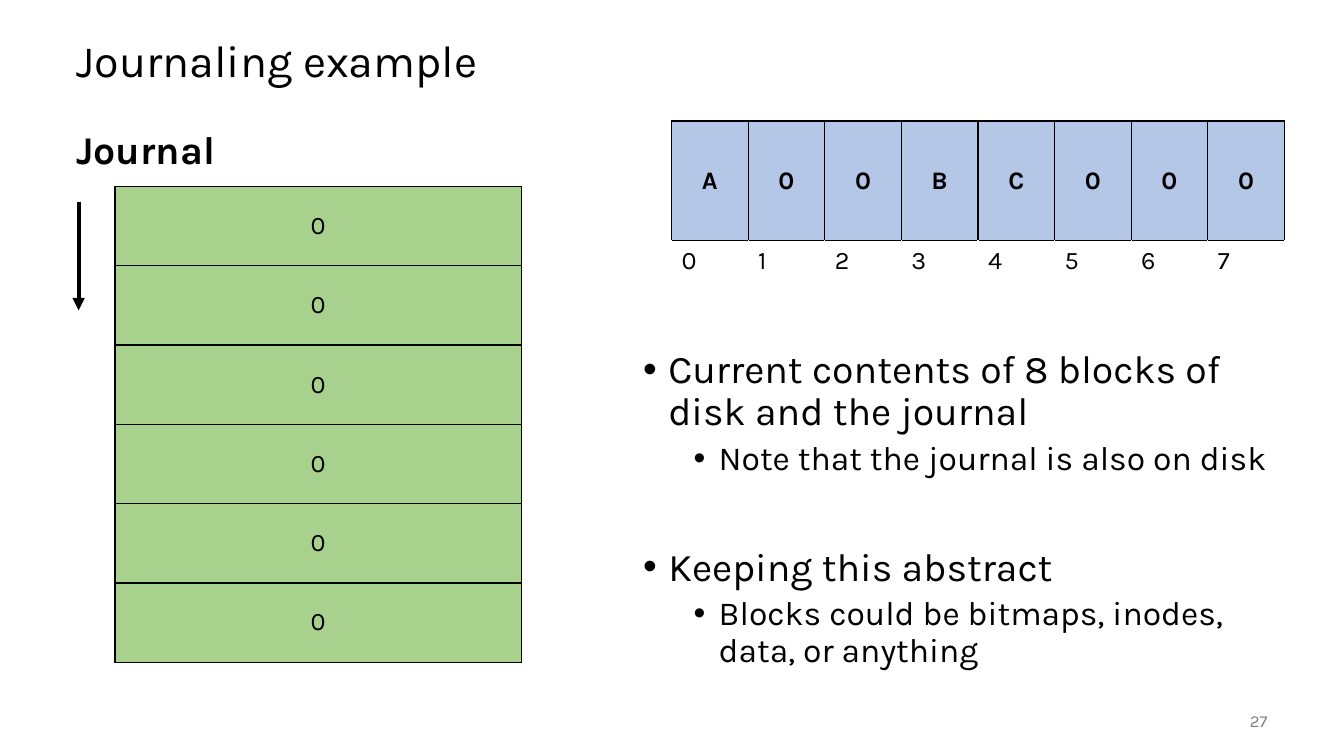
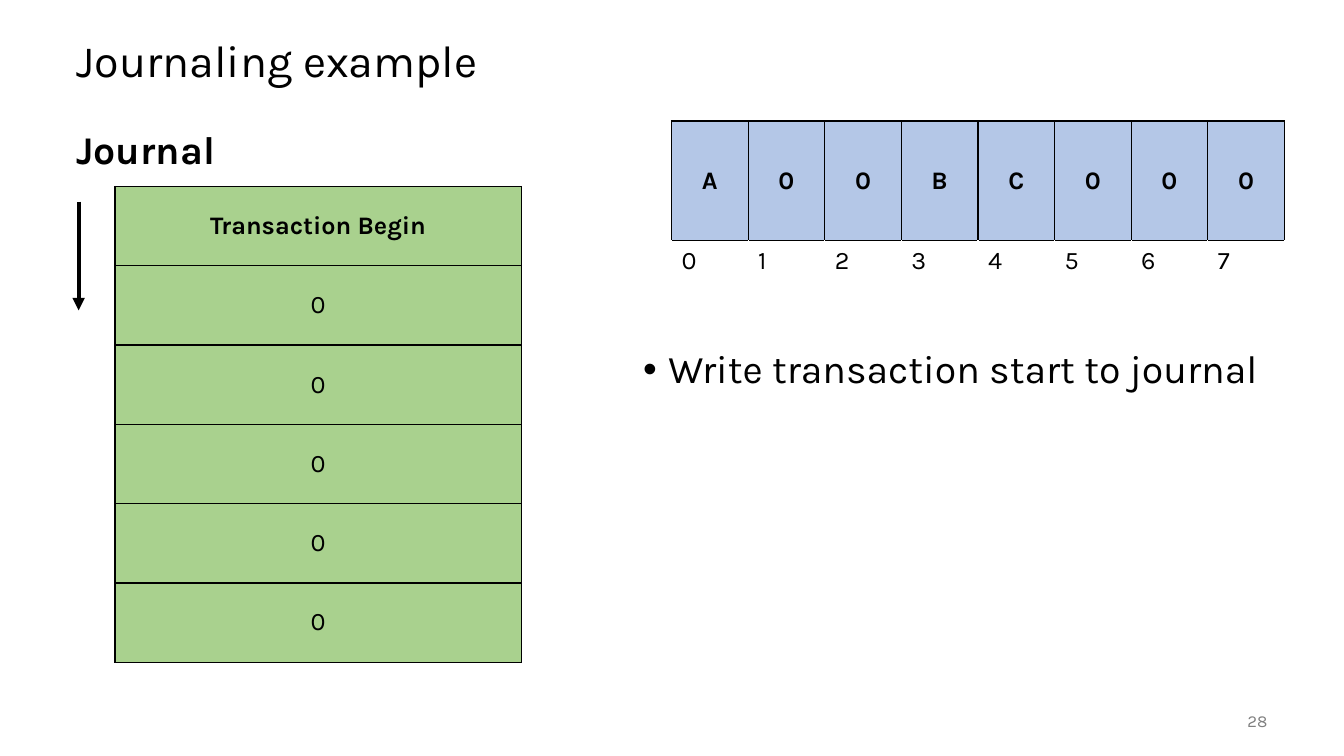
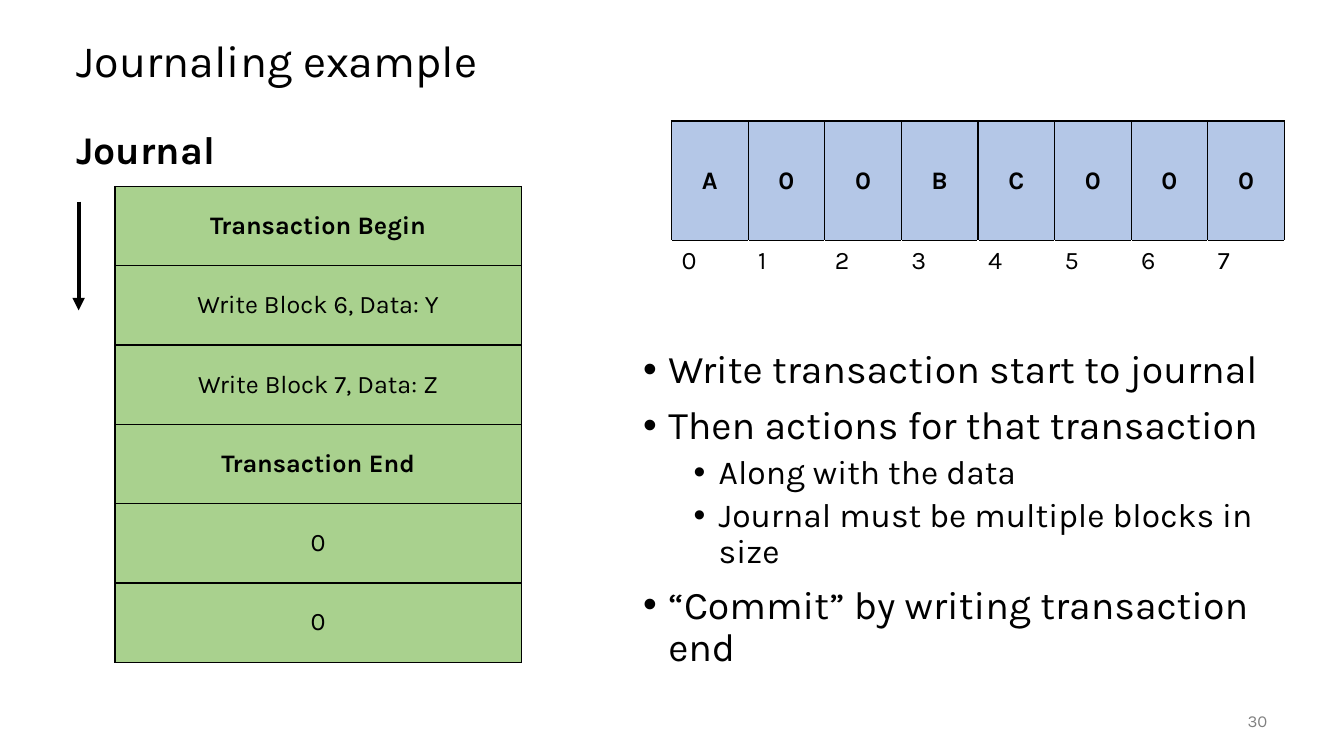
from lxml.etree import SubElement
from pptx import Presentation
from pptx.dml.color import RGBColor
from pptx.enum.shapes import MSO_CONNECTOR
from pptx.enum.text import MSO_ANCHOR, MSO_AUTO_SIZE, PP_ALIGN
from pptx.oxml import parse_xml
from pptx.oxml.ns import nsdecls, qn
from pptx.util import Inches, Pt

HUES = {"ink": "000000", "gray": "808080", "white": "FFFFFF",
        "disk": "B4C7E7", "log": "A9D18E"}
FACE = "Karla"
HEAD = "Journaling example"
DISK = "A00BC000"
START = "Write transaction start to journal"
BEGIN = "Transaction Begin"
END = "Transaction End"
LEVELS = [{"size": 28, "before": 10, "left": 0.25},
          {"size": 24, "before": 5, "left": 0.75}]

PAGES = [
    {"page": 27, "log": ["0"] * 6,
     "points": [
         (0, "Current contents of 8 blocks of disk and the journal"),
         (1, "Note that the journal is also on disk"),
         (0, "Keeping this abstract", 50),
         (1, "Blocks could be bitmaps, inodes, data, or anything")]},
    {"page": 28, "log": [BEGIN] + ["0"] * 5, "points": [(0, START)]},
    {"page": 30,
     "log": [BEGIN, "Write Block 6, Data: Y", "Write Block 7, Data: Z",
             END, "0", "0"],
     "points": [
         (0, START),
         (0, "Then actions for that transaction"),
         (1, "Along with the data"),
         (1, "Journal must be multiple blocks in size"),
         (0, "“Commit” by writing transaction end")]},
]


def tint(name):
    return RGBColor.from_string(HUES[name])


def apply(item, values):
    for key, value in values.items():
        setattr(item, key, value)


class Deck:
    def __init__(self):
        self.show = Presentation()
        apply(self.show, {"slide_width": Inches(13.33),
                          "slide_height": Inches(7.5)})
        self.slide = None

    def put(self, para, text, size, hue="ink", bold=False, **layout):
        apply(para, layout)
        run = para.add_run()
        run.text = text
        apply(run.font, {"name": FACE, "size": Pt(size), "bold": bold})
        run.font.color.rgb = tint(hue)

    def frame(self, shape, anchor):
        apply(shape.text_frame, {"word_wrap": True,
                                 "auto_size": MSO_AUTO_SIZE.NONE,
                                 "vertical_anchor": anchor})
        return shape.text_frame

    def start(self, text):
        self.slide = self.show.slides.add_slide(self.show.slide_layouts[5])
        title = self.slide.shapes.title
        apply(title, {"left": Inches(0.66), "top": Inches(0.25),
                      "width": Inches(12), "height": Inches(0.75)})
        frame = self.frame(title, MSO_ANCHOR.MIDDLE)
        self.put(frame.paragraphs[0], text, 32, line_spacing=0.9,
                 alignment=PP_ALIGN.LEFT)

    def box(self, place, anchor=MSO_ANCHOR.TOP):
        shape = self.slide.shapes.add_textbox(*map(Inches, place))
        return self.frame(shape, anchor)

    def label(self, text, place, size, anchor=MSO_ANCHOR.TOP, **form):
        frame = self.box(place, anchor)
        self.put(frame.paragraphs[0], text, size, **form)

    def bullets(self, points, place):
        frame = self.box(place)
        for i, (level, text, *gap) in enumerate(points):
            para = frame.paragraphs[0] if i == 0 else frame.add_paragraph()
            rule = LEVELS[level]
            props = para._p.get_or_add_pPr()
            props.set("marL", str(Inches(rule["left"])))
            props.set("indent", str(Inches(-0.25)))
            SubElement(props, qn("a:buFont"), typeface="Arial")
            SubElement(props, qn("a:buChar"), char="•")
            before = gap[0] if gap else rule["before"]
            self.put(para, text, rule["size"], level=level,
                     line_spacing=0.9, space_before=Pt(before if i else 0))

    def grid(self, place, rows, cols):
        shape = self.slide.shapes.add_table(
            len(rows), len(cols), *map(Inches, place))
        table = shape.table
        apply(table, {"first_row": False, "horz_banding": False})
        for row, height in zip(table.rows, rows):
            row.height = Inches(height)
        for col, width in zip(table.columns, cols):
            col.width = Inches(width)
        return table

    def cell(self, cell, text, fill=None, bold=False):
        if fill:
            cell.fill.solid()
            cell.fill.fore_color.rgb = tint(fill)
            cell.vertical_anchor = MSO_ANCHOR.MIDDLE
        else:
            cell.fill.background()
        props = cell._tc.get_or_add_tcPr()
        for i, side in enumerate("LRTB"):
            hue = HUES["ink" if fill or side == "T" else "white"]
            props.insert(i, parse_xml(
                f'<a:ln{side} {nsdecls("a")} w="{Pt(1)}"><a:solidFill>'
                f'<a:srgbClr val="{hue}"/></a:solidFill></a:ln{side}>'))
        align = PP_ALIGN.CENTER if fill else PP_ALIGN.LEFT
        self.put(cell.text_frame.paragraphs[0], text, 18, bold=bold,
                 alignment=align)

    def disk(self, blocks):
        table = self.grid((6.66, 1.2, 6.08, 1.72), [1.19, 0.53],
                          [0.76] * len(blocks))
        for i, block in enumerate(blocks):
            self.cell(table.cell(0, i), block, "disk", True)
            self.cell(table.cell(1, i), str(i))

    def log(self, lines):
        table = self.grid((1.14, 1.85, 4.03, 4.72),
                          [4.72 / len(lines)] * len(lines), [4.03])
        for i, line in enumerate(lines):
            self.cell(table.cell(i, 0), line, "log", line in (BEGIN, END))

    def arrow(self, *ends):
        line = self.slide.shapes.add_connector(
            MSO_CONNECTOR.STRAIGHT, *map(Inches, ends))
        line.line.color.rgb = tint("ink")
        line.line.width = Pt(3)
        props = line._element.spPr
        SubElement(props.find(qn("a:ln")), qn("a:tailEnd"), type="triangle")
        SubElement(props, qn("a:effectLst"))


def main():
    deck = Deck()
    for page in PAGES:
        deck.start(HEAD)
        deck.label("Journal", (0.66, 1.25, 5.75, 5.5), 28, bold=True,
                   line_spacing=0.9)
        deck.label(str(page["page"]), (11.67, 6.95, 1, 0.4), 12,
                   MSO_ANCHOR.MIDDLE, hue="gray", alignment=PP_ALIGN.RIGHT)
        deck.bullets(page["points"], (6.28, 3.42, 6.39, 3.33))
        deck.disk(DISK)
        deck.log(page["log"])
        deck.arrow(0.78, 2, 0.78, 3.08)
    deck.show.save("out.pptx")


if __name__ == "__main__":
    main()
